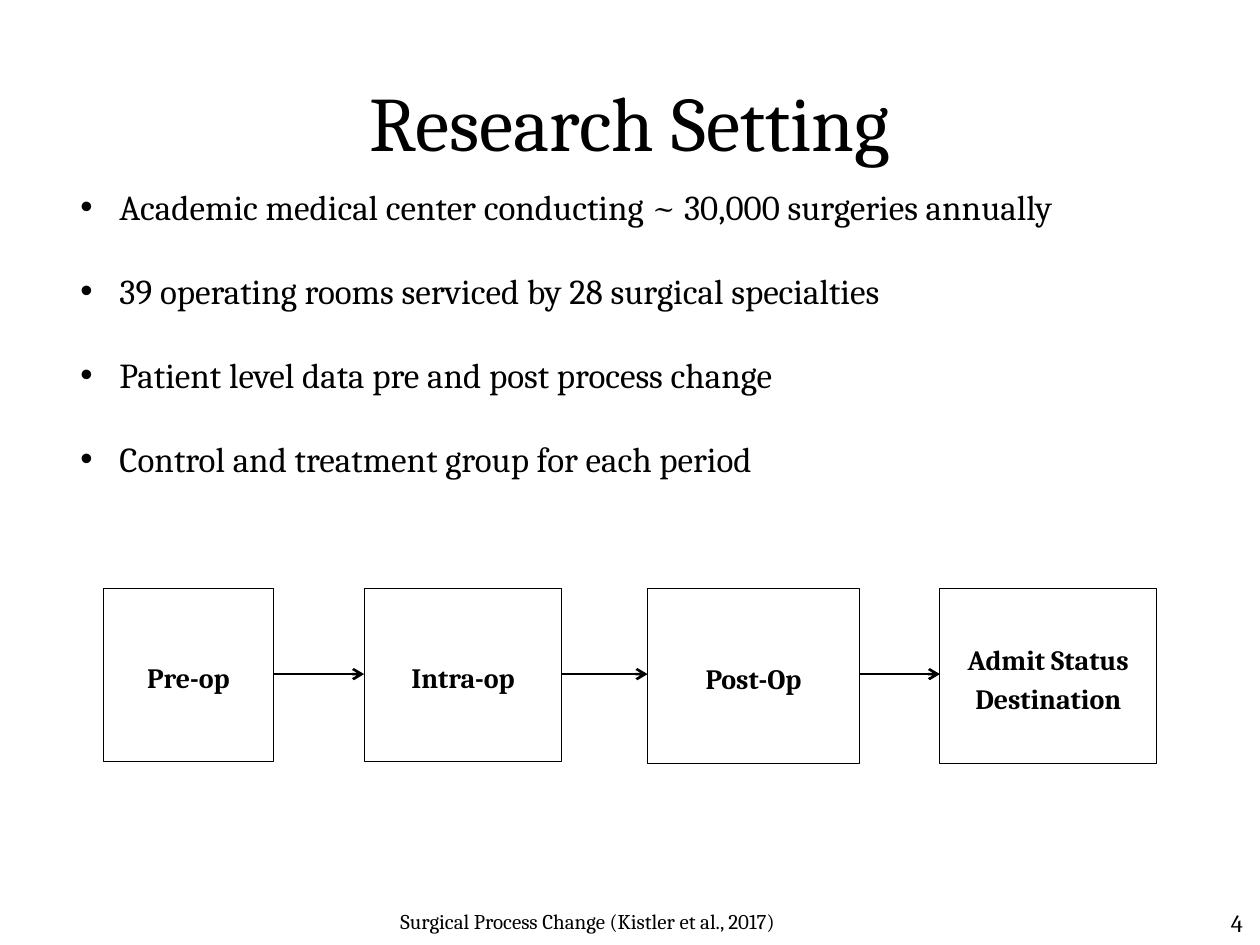
from lxml.etree import SubElement
from pptx import Presentation
from pptx.dml.color import RGBColor
from pptx.enum.shapes import MSO_CONNECTOR, MSO_SHAPE
from pptx.enum.text import MSO_ANCHOR, PP_ALIGN
from pptx.oxml.ns import qn
from pptx.util import Inches, Pt

COLORS = {"ink": "000000", "paper": "FFFFFF"}
INK = RGBColor.from_string(COLORS["ink"])
PAPER = RGBColor.from_string(COLORS["paper"])


def style(para, size, bold=False):
    para.font.name = "Cambria"
    para.font.size = Pt(size)
    para.font.bold = bold
    para.font.color.rgb = INK


def add_text(left, top, width, height, lines, size):
    """Add a text box and return its paragraphs, one for each line."""
    box = slide.shapes.add_textbox(
        Inches(left), Inches(top), Inches(width), Inches(height))
    frame = box.text_frame
    frame.word_wrap = True
    frame.text = "\n".join(lines)
    for para in frame.paragraphs:
        style(para, size)
    return frame.paragraphs


prs = Presentation()
prs.slide_width, prs.slide_height = Inches(10), Inches(7.5)
slide = prs.slides.add_slide(prs.slide_layouts[5])

# Title
title = slide.shapes.title
title.left, title.top = Inches(0.75), Inches(0.33)
title.width, title.height = Inches(8.5), Inches(1.25)
title.text_frame.text = "Research Setting"
title.text_frame.vertical_anchor = MSO_ANCHOR.MIDDLE
title.text_frame.paragraphs[0].alignment = PP_ALIGN.CENTER
style(title.text_frame.paragraphs[0], 44)

# Patient flow: left, width, height, label
steps = [
    (0.82, 1.35, 1.37, "Pre-op"),
    (2.89, 1.57, 1.37, "Intra-op"),
    (5.14, 1.68, 1.39, "Post-Op"),
    (7.46, 1.72, 1.39, "Admit Status Destination"),
]
for left, width, height, label in steps:
    box = slide.shapes.add_shape(
        MSO_SHAPE.RECTANGLE,
        Inches(left), Inches(4.67), Inches(width), Inches(height))
    box.shadow.inherit = False
    box.fill.solid()
    box.fill.fore_color.rgb = PAPER
    box.line.color.rgb = INK
    box.line.width = Pt(0.5)
    frame = box.text_frame
    frame.word_wrap = True
    frame.vertical_anchor = MSO_ANCHOR.MIDDLE
    frame.text = label
    para = frame.paragraphs[0]
    para.alignment = PP_ALIGN.CENTER
    para.line_spacing = 1.15
    para.space_after = Pt(10)
    style(para, 16, bold=True)

# Arrows from each step to the next
for (left, width, *_), after in zip(steps, steps[1:]):
    arrow = slide.shapes.add_connector(
        MSO_CONNECTOR.STRAIGHT,
        Inches(left + width), Inches(5.35), Inches(after[0]), Inches(5.35))
    arrow.line.color.rgb = INK
    arrow.line.width = Pt(1.5)
    SubElement(arrow.line._get_or_add_ln(), qn("a:tailEnd"), type="arrow")
    SubElement(arrow._element.spPr, qn("a:effectLst"))

# Bullets
points = add_text(0.54, 1.42, 8.93, 2.46, [
    "Academic medical center conducting ~ 30,000 surgeries annually",
    "39 operating rooms serviced by 28 surgical specialties",
    "Patient level data pre and post process change",
    "Control and treatment group for each period",
], 20)
for num, para in enumerate(points):
    props = para._p.get_or_add_pPr()
    props.set("marL", str(Inches(0.31)))
    props.set("indent", str(Inches(-0.31)))
    # Spacing must precede the bullet elements, and these the font
    font = props.find(qn("a:defRPr"))
    for tag, name, value in (("a:buFont", "typeface", "Arial"),
                             ("a:buChar", "char", "•")):
        mark = SubElement(props, qn(tag))
        mark.set(name, value)
        if font is not None:
            font.addprevious(mark)
    if num:
        para.space_before = Pt(24)

# Footer
add_text(3.08, 7.16, 3.83, 0.3,
         ["Surgical Process Change (Kistler et al., 2017)"], 12)
add_text(9.67, 7.16, 0.33, 0.34, ["4"], 14)

prs.save("out.pptx")
